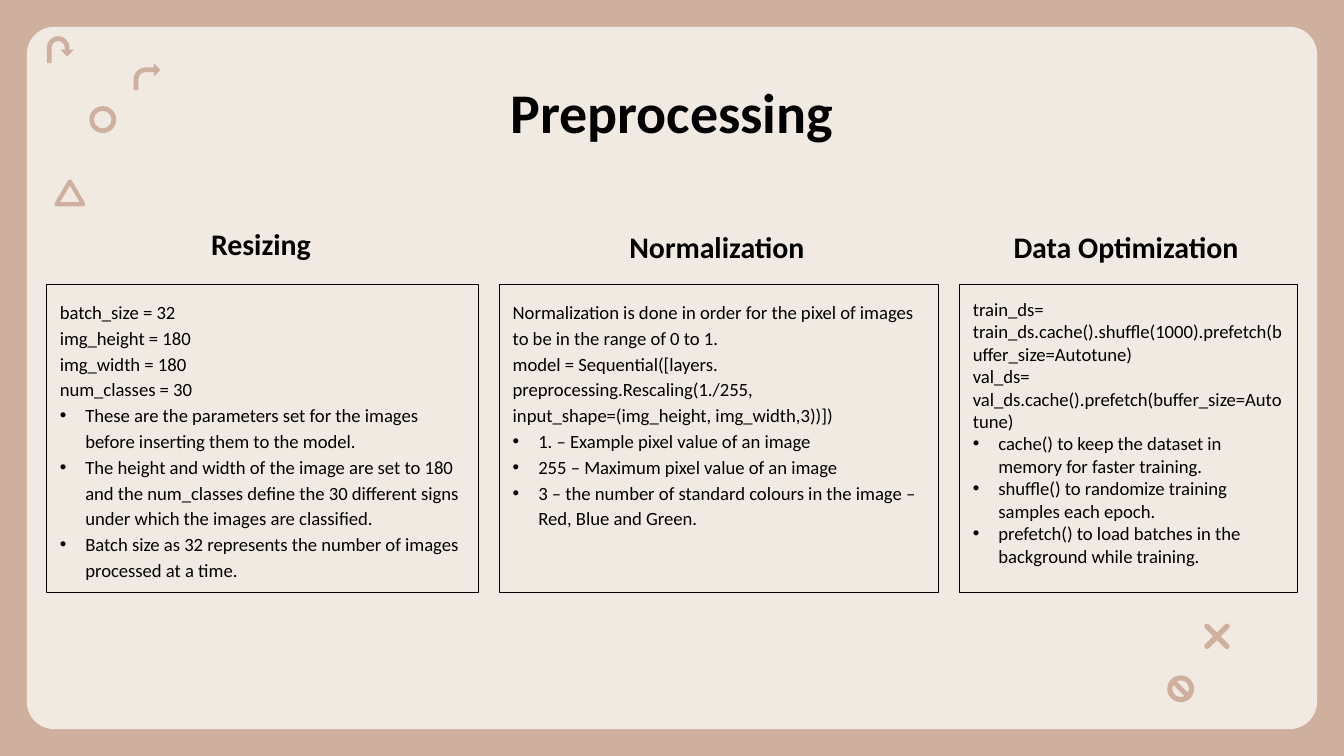
from dataclasses import dataclass

from pptx import Presentation
from pptx import util as u
from pptx.dml.color import RGBColor
from pptx.enum import shapes, text
from pptx.oxml.ns import qn

COLUMNS, ROWS = 100, 56.25  # square grid cells, 16:9
CELL = u.Inches(0.1)
PRESET = shapes.MSO_SHAPE


@dataclass(frozen=True)
class Theme:
    accent: RGBColor = RGBColor(0xCF, 0xAF, 0x9E)
    paper: RGBColor = RGBColor(0xF1, 0xEA, 0xE2)
    ink: RGBColor = RGBColor(0, 0, 0)
    font: str = "Calibri"
    title: int = 30
    heading: int = 16
    body: int = 10
    border: float = 0.75
    icon_line: float = 2.25


@dataclass(frozen=True)
class Box:
    """A place on the slide, in grid cells."""
    left: float
    top: float
    width: float
    height: float

    def inner(self, left, top, width, height):
        return Box(self.left + left, self.top + top, width, height)

    def lengths(self):
        sides = (self.left, self.top, self.width, self.height)
        return [u.Emu(round(side * CELL)) for side in sides]


@dataclass(frozen=True)
class Step:
    heading: str
    heading_width: float
    heading_rise: float
    left: float
    width: float
    spacing: float
    code: tuple
    notes: tuple


THEME = Theme()
CARD_TOP, CARD_HEIGHT, HEADING_HEIGHT = 21.15, 22.95, 3.7
STEPS = (
    Step("Resizing", 9.6, 4.85, 3.45, 32.15, 1.15,
         ("batch_size = 32", "img_height = 180", "img_width = 180", "num_classes = 30"),
         ("These are the parameters set for the images before inserting them to the model.",
          "The height and width of the image are set to 180 and the num_classes define the "
          "30 different signs under which the images are classified.",
          "Batch size as 32 represents the number of images processed at a time.")),
    Step("Normalization", 15.3, 4.65, 37.15, 32.7, 1.15,
         ("Normalization is done in order for the pixel of images to be in the range of 0 to 1.",
          "model = Sequential([layers. preprocessing.Rescaling(1./255, "
          "input_shape=(img_height, img_width,3))])"),
         ("1. – Example pixel value of an image",
          "255 – Maximum pixel value of an image",
          "3 – the number of standard colours in the image – Red, Blue and Green.")),
    Step("Data Optimization", 19.1, 4.65, 71.4, 25.15, 1.0,
         ("train_ds=", "train_ds.cache().shuffle(1000).prefetch(buffer_size=Autotune)",
          "val_ds=", "val_ds.cache().prefetch(buffer_size=Autotune)"),
         ("cache() to keep the dataset in memory for faster training.",
          "shuffle() to randomize training samples each epoch.",
          "prefetch() to load batches in the background while training.")),
)


def place(shape, box):
    shape.left, shape.top, shape.width, shape.height = box.lengths()


def add_run(paragraph, words, size, bold=False):
    run = paragraph.add_run()
    run.text = words
    run.font.name, run.font.size, run.font.bold = THEME.font, u.Pt(size), bold
    run.font.color.rgb = THEME.ink


def set_frame(frame, anchor, inset=0.1):
    frame.word_wrap = True
    frame.auto_size = text.MSO_AUTO_SIZE.NONE
    frame.vertical_anchor = anchor
    frame.margin_left = frame.margin_right = u.Inches(inset)
    frame.margin_top = frame.margin_bottom = u.Inches(inset)


def set_bullet(paragraph, bulleted):
    properties = paragraph._p.get_or_add_pPr()
    indent = u.Inches(0.19) if bulleted else 0
    properties.set("marL", str(indent))
    properties.set("indent", str(-indent))
    if bulleted:
        font = properties.makeelement(qn("a:buFont"), {"typeface": "Arial"})
        bullet = properties.makeelement(qn("a:buChar"), {"char": "•"})
        properties.extend([font, bullet])
    else:
        properties.append(properties.makeelement(qn("a:buNone"), {}))


def add_filled(container, preset, box, color, adjustments=(), rotation=0):
    shape = container.add_shape(preset, *box.lengths())
    shape.shadow.inherit = False
    shape.fill.solid()
    shape.fill.fore_color.rgb = color
    shape.line.fill.background()
    shape.rotation = rotation
    for index, value in enumerate(adjustments):
        shape.adjustments[index] = value
    return shape


def draw_background(slide, box):
    slide.background.fill.solid()
    slide.background.fill.fore_color.rgb = THEME.accent
    panel = add_filled(slide.shapes, PRESET.ROUNDED_RECTANGLE, box, THEME.paper, [0.039])
    slide.shapes.element.insert(2, panel.element)  # behind the placeholders


def draw_title(slide, box, words):
    title = slide.shapes.title
    place(title, box)
    set_frame(title.text_frame, text.MSO_ANCHOR.MIDDLE)
    paragraph = title.text_frame.paragraphs[0]
    paragraph.alignment = text.PP_ALIGN.CENTER
    add_run(paragraph, words, THEME.title, bold=True)


def draw_heading(slide, card, step):
    box = card.inner((card.width - step.heading_width) / 2, -step.heading_rise,
                     step.heading_width, HEADING_HEIGHT)
    frame = slide.shapes.add_textbox(*box.lengths()).text_frame
    frame.word_wrap = False
    frame.auto_size = text.MSO_AUTO_SIZE.SHAPE_TO_FIT_TEXT
    frame.paragraphs[0].alignment = text.PP_ALIGN.LEFT
    add_run(frame.paragraphs[0], step.heading, THEME.heading, bold=True)


def draw_card(slide, box, step, body):
    place(body, box)
    body.line.color.rgb = THEME.ink
    body.line.width = u.Pt(THEME.border)
    frame = body.text_frame
    set_frame(frame, text.MSO_ANCHOR.TOP)
    for index, words in enumerate(step.code + step.notes):
        paragraph = frame.add_paragraph() if index else frame.paragraphs[0]
        paragraph.alignment = text.PP_ALIGN.LEFT
        paragraph.line_spacing = step.spacing
        paragraph.space_before = paragraph.space_after = u.Pt(0)
        set_bullet(paragraph, index >= len(step.code))
        add_run(paragraph, words, THEME.body)
    draw_heading(slide, box, step)


def draw_top_icons(slide, box):
    icons = slide.shapes.add_group_shape().shapes
    arrow = [0.174, 0.25, 0.25, 0.438]
    add_filled(icons, PRESET.DONUT, box.inner(3.15, 5.2, 2, 2), THEME.accent, [0.171])
    add_filled(icons, PRESET.U_TURN_ARROW, box.inner(0, 0, 2, 2), THEME.accent, arrow + [0.75])
    add_filled(icons, PRESET.BENT_ARROW, box.inner(6.45, 2, 2, 2), THEME.accent, arrow)
    triangle = icons.add_shape(PRESET.ISOSCELES_TRIANGLE, *box.inner(0.7, 10.8, 2, 1.7).lengths())
    triangle.shadow.inherit = False
    triangle.fill.background()
    triangle.line.color.rgb = THEME.accent
    triangle.line.width = u.Pt(THEME.icon_line)
    outline = triangle.line._get_or_add_ln()
    outline.append(outline.makeelement(qn("a:round"), {}))


def draw_bottom_icons(slide, box):
    icons = slide.shapes.add_group_shape().shapes
    for angle in (45, 315):
        add_filled(icons, PRESET.ROUNDED_RECTANGLE, box.inner(2.45, 0, 2.5, 0.4),
                   THEME.accent, [0.5], angle)
    add_filled(icons, PRESET.NO_SYMBOL, box.inner(0, 3.1, 2, 2), THEME.accent, [0.188])


def main():
    presentation = Presentation()
    presentation.slide_width = round(COLUMNS * CELL)
    presentation.slide_height = round(ROWS * CELL)
    slide = presentation.slides.add_slide(presentation.slide_layouts.get_by_name("Two Content"))
    draw_background(slide, Box(2, 2, COLUMNS - 4, ROWS - 4))
    draw_title(slide, Box(21.95, 4.8, 56.1, 7), "Preprocessing")
    bodies = [slide.placeholders[1], slide.placeholders[2],
              slide.shapes.add_textbox(0, 0, CELL, CELL)]
    for step, body in zip(STEPS, bodies):
        draw_card(slide, Box(step.left, CARD_TOP, step.width, CARD_HEIGHT), step, body)
    draw_top_icons(slide, Box(3.5, 2.7, 8.5, 12.5))
    draw_bottom_icons(slide, Box(86.85, 47.15, 5, 5.1))
    presentation.save("out.pptx")


if __name__ == "__main__":
    main()
